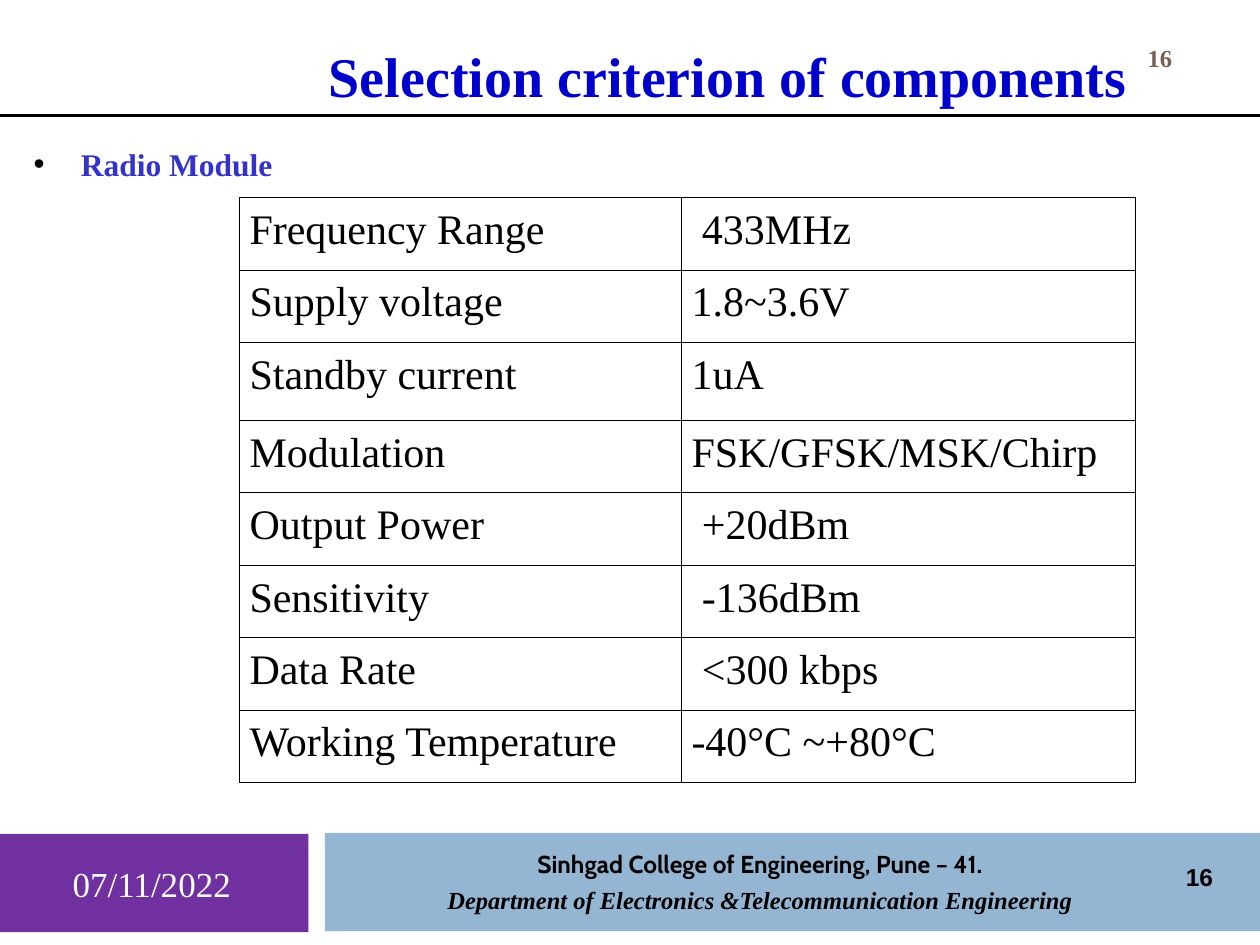
from lxml import etree
from pptx import Presentation
from pptx.dml.color import RGBColor
from pptx.enum.shapes import MSO_CONNECTOR, MSO_SHAPE
from pptx.enum.text import MSO_ANCHOR, PP_ALIGN
from pptx.oxml.ns import qn
from pptx.util import Cm, Pt

RECT, LINE = MSO_SHAPE.RECTANGLE, MSO_CONNECTOR.STRAIGHT
TOP, MIDDLE, BOTTOM = MSO_ANCHOR.TOP, MSO_ANCHOR.MIDDLE, MSO_ANCHOR.BOTTOM
LEFT, CENTER = PP_ALIGN.LEFT, PP_ALIGN.CENTER
SERIF = "Times New Roman"


def color(target, value):
    target.rgb = RGBColor.from_string(value)


def add_text(box, text, size, hue, font=SERIF, bold=True, anchor=MIDDLE, align=CENTER):
    """Add a wrapped text box at box (left, top, width, height in cm)."""
    tf = s.shapes.add_textbox(*map(Cm, box)).text_frame
    tf.word_wrap = True
    tf.vertical_anchor = anchor
    tf.text = text
    for p in tf.paragraphs:
        p.alignment = align
        for r in p.runs:
            r.font.name, r.font.size, r.font.bold = font, Pt(size), bold
            color(r.font.color, hue)
    return tf


prs = Presentation()
prs.slide_width, prs.slide_height = Cm(25.4), Cm(19.05)
s = prs.slides.add_slide(prs.slide_layouts[6])

# Footer bands
for box, hue in [((-0.03, 16.81, 6.25, 1.98), "7030A0"),
                 ((6.55, 16.79, 18.85, 1.98), "94B6D2")]:
    sp = s.shapes.add_shape(RECT, *map(Cm, box))
    sp.shadow.inherit = False
    sp.fill.solid()
    color(sp.fill.fore_color, hue)
    sp.line.fill.background()

# Heading and rule
tf = add_text((4.65, 0, 20.75, 2.32), "Selection criterion of components", 32,
              "0000CC", anchor=BOTTOM, align=LEFT)
tf.margin_left = Cm(1.98)

rule = s.shapes.add_connector(LINE, 0, Cm(2.33), prs.slide_width, Cm(2.33))
color(rule.line.color, "000000")
rule.line.width = Pt(1.75)
etree.SubElement(rule._element.spPr, qn("a:effectLst"))

# Footer text
tf = add_text((7.77, 17, 15.11, 1.55),
              "Sinhgad College of Engineering, Pune – 41.\n"
              "Department of Electronics &Telecommunication Engineering",
              14, "000000", font="Cabin", anchor=TOP)
department = tf.paragraphs[1]
department.space_before = Pt(3.5)
department.runs[0].font.name = SERIF
department.runs[0].font.italic = True

add_text((23.01, 17.14, 2.34, 1.07), "16", 14, "000000", font="Arial")
add_text((0.2, 16.87, 5.72, 1.9), "07/11/2022", 20, "FFFFFF", bold=False)

# Bulleted subject
tf = add_text((0.43, 2.79, 24.33, 1.1), "Radio Module", 18, "3333CC", anchor=TOP, align=LEFT)
pPr = tf.paragraphs[0]._p.get_or_add_pPr()
pPr.set("marL", str(Cm(0.95)))
pPr.set("indent", str(Cm(-0.95)))
bullet_color = etree.SubElement(pPr, qn("a:buClr"))
etree.SubElement(bullet_color, qn("a:srgbClr"), val="000000")
etree.SubElement(pPr, qn("a:buFont"), typeface="Arial")
etree.SubElement(pPr, qn("a:buChar"), char="•")

# Module specifications
specs = [
    ("Frequency Range", " 433MHz"),
    ("Supply voltage", "1.8~3.6V"),
    ("Standby current", "1uA"),
    ("Modulation", "FSK/GFSK/MSK/Chirp"),
    ("Output Power", " +20dBm"),
    ("Sensitivity", " -136dBm"),
    ("Data Rate", " <300 kbps"),
    ("Working Temperature", "-40°C ~+80°C"),
]
table = s.shapes.add_table(len(specs), 2, Cm(4.83), Cm(3.98), Cm(18.06), Cm(11.79)).table
table.first_row = table.horz_banding = False
for column, width in zip(table.columns, (8.91, 9.15)):
    column.width = Cm(width)
for row, values in zip(table.rows, specs):
    row.height = Cm(1.57 if values[0] == "Standby current" else 1.46)
    for cell, value in zip(row.cells, values):
        cell.margin_left = cell.margin_right = Cm(0.2)
        cell.margin_top = cell.margin_bottom = Cm(0.13)
        cell.text = value
        p = cell.text_frame.paragraphs[0]
        p.line_spacing = 1.07
        p.space_after = Pt(0.3)
        r = p.runs[0]
        r.font.name, r.font.size = SERIF, Pt(24)
        color(r.font.color, "000000")
        tcPr = cell._tc.get_or_add_tcPr()
        for side in ("lnL", "lnR", "lnT", "lnB"):
            border = etree.SubElement(tcPr, qn(f"a:{side}"), w=str(Pt(0.45)))
            fill = etree.SubElement(border, qn("a:solidFill"))
            etree.SubElement(fill, qn("a:srgbClr"), val="000000")
        cell.fill.background()

add_text((22.23, 0.64, 2.31, 1.04), "16", 14, "775F55")

prs.save("out.pptx")
